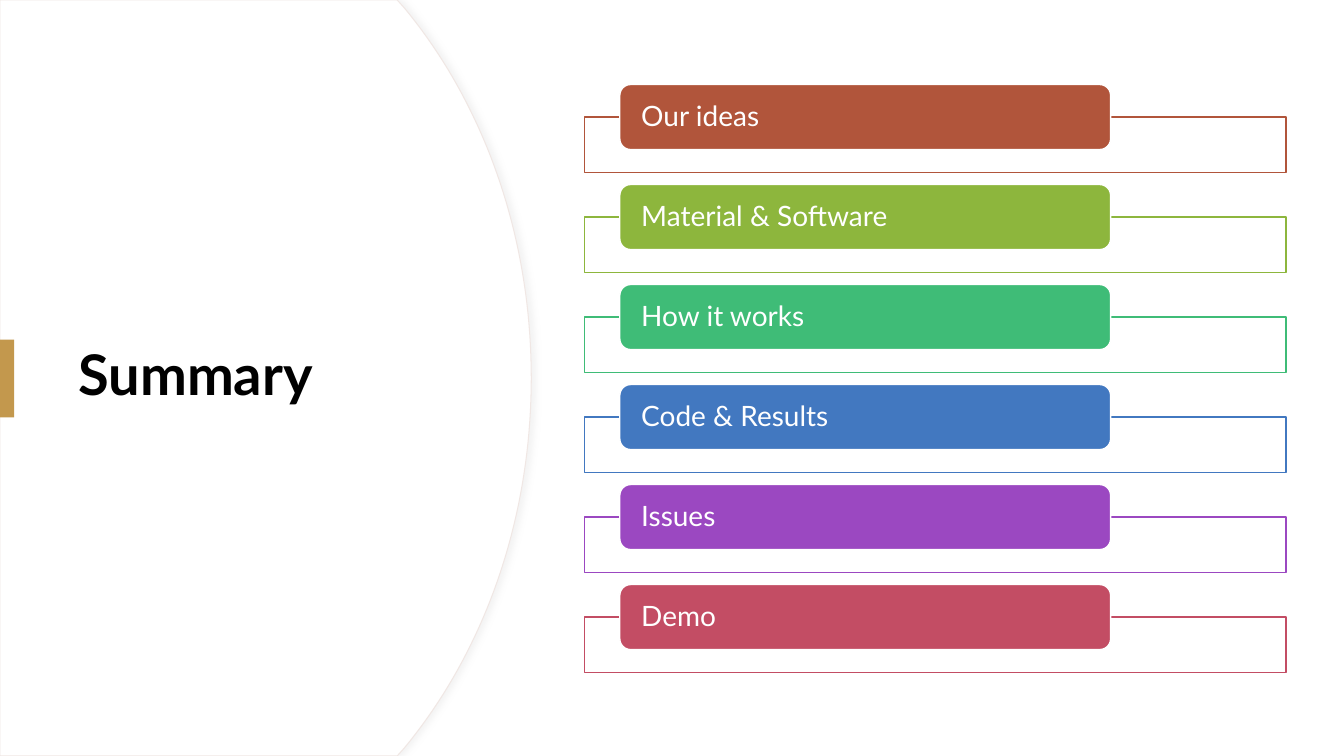
from lxml.etree import SubElement
from pptx import Presentation
from pptx.dml.color import RGBColor as RGB
from pptx.enum.shapes import MSO_SHAPE as SHAPE
from pptx.enum.text import MSO_ANCHOR as ANCHOR, PP_ALIGN as ALIGN
from pptx.oxml.ns import qn
from pptx.util import Cm, Pt

# Content
TITLE = "Summary"
FONT = "Lato"
WHITE = RGB(0xFF, 0xFF, 0xFF)
BLACK = RGB(0, 0, 0)
GOLD = RGB(0xC3, 0x98, 0x4D)
EDGE = RGB(0xF0, 0xE7, 0xE4)
TOPICS = [
    ("Our ideas", RGB(0xB1, 0x55, 0x3B)),
    ("Material & Software", RGB(0x8D, 0xB6, 0x3D)),
    ("How it works", RGB(0x3F, 0xBC, 0x77)),
    ("Code & Results", RGB(0x42, 0x78, 0xC0)),
    ("Issues", RGB(0x9B, 0x48, 0xC1)),
    ("Demo", RGB(0xC3, 0x4D, 0x64)),
]

# Layout in cm
SLIDE_W, SLIDE_H = 33.87, 19.05
FRAME_X, FRAME_W, FRAME_H = 14.73, 17.68, 1.4
BAR_X, BAR_Y, BAR_W, BAR_H = 15.62, 2.13, 12.37, 1.64
PITCH = 2.52
# Bezier points of the panel's upper right edge, mirrored for the lower one
CURVE = [(10.19, 0.2), (12.17, 2.59), (13.39, 5.89), (13.39, 9.53)]
STEPS = 40


def style(sp, fill, line=None, width=1):
    sp.shadow.inherit = False
    sp.fill.solid()
    sp.fill.fore_color.rgb = fill
    if line is None:
        sp.line.fill.background()
    else:
        sp.line.color.rgb = line
        sp.line.width = Pt(width)


def add_box(s, kind, x, y, w, h, fill, line=None):
    sp = s.shapes.add_shape(kind, Cm(x), Cm(y), Cm(w), Cm(h))
    style(sp, fill, line)
    return sp


def set_text(sp, text, size, color, bold=False):
    tf = sp.text_frame
    tf.word_wrap = True
    tf.vertical_anchor = ANCHOR.MIDDLE
    tf.text = text
    p = tf.paragraphs[0]
    p.alignment = ALIGN.LEFT
    p.line_spacing = 0.9
    font = p.runs[0].font
    font.name, font.size, font.bold = FONT, Pt(size), bold
    font.color.rgb = color
    return tf


def curve_point(t):
    weights = ((1 - t) ** 3, 3 * t * (1 - t) ** 2, 3 * t * t * (1 - t), t ** 3)
    return tuple(sum(w * p[axis] for w, p in zip(weights, CURVE)) for axis in (0, 1))


def add_panel(s):
    upper = [(10.01, 0)] + [curve_point(i / STEPS) for i in range(STEPS + 1)]
    lower = [(x, SLIDE_H - y) for x, y in reversed(upper[:-1])]
    outline = upper + lower + [(0, SLIDE_H)]
    builder = s.shapes.build_freeform(0, 0)
    builder.add_line_segments([(Cm(x), Cm(y)) for x, y in outline], close=True)
    sp = builder.convert_to_shape()
    style(sp, WHITE, EDGE, 0.75)
    # Soft shadow to the right
    effects = sp._element.spPr.find(qn("a:effectLst"))
    shadow = SubElement(effects, qn("a:outerShdw"), blurRad=str(Pt(4)),
                        dist=str(Pt(3)), dir="0", algn="l", rotWithShape="0")
    color = SubElement(shadow, qn("a:srgbClr"), val="D9D9D9")
    SubElement(color, qn("a:alpha"), val="30000")


def add_topic(s, y, text, color):
    # The frame starts at the bar's middle
    frame = add_box(s, SHAPE.RECTANGLE, FRAME_X, y + BAR_H / 2, FRAME_W, FRAME_H, WHITE, color)
    fill = frame._element.spPr.find(qn("a:solidFill"))
    SubElement(fill.find(qn("a:srgbClr")), qn("a:alpha"), val="90000")
    bar = add_box(s, SHAPE.ROUNDED_RECTANGLE, BAR_X, y, BAR_W, BAR_H, color, WHITE)
    tf = set_text(bar, text, 20, WHITE)
    tf.margin_left = tf.margin_right = Cm(0.46)
    tf.margin_top = tf.margin_bottom = 0


def main():
    prs = Presentation()
    prs.slide_width, prs.slide_height = Cm(SLIDE_W), Cm(SLIDE_H)
    s = prs.slides.add_slide(prs.slide_layouts[6])

    # Title panel
    add_panel(s)
    title = s.shapes.add_textbox(Cm(1.73), Cm(3.23), Cm(10.01), Cm(12.57))
    set_text(title, TITLE, 40, BLACK, bold=True)
    add_box(s, SHAPE.RECTANGLE, 0, 8.56, 0.36, 1.96, GOLD)

    # Topic list
    for i, (text, color) in enumerate(TOPICS):
        add_topic(s, BAR_Y + i * PITCH, text, color)

    prs.save("out.pptx")


if __name__ == "__main__":
    main()
